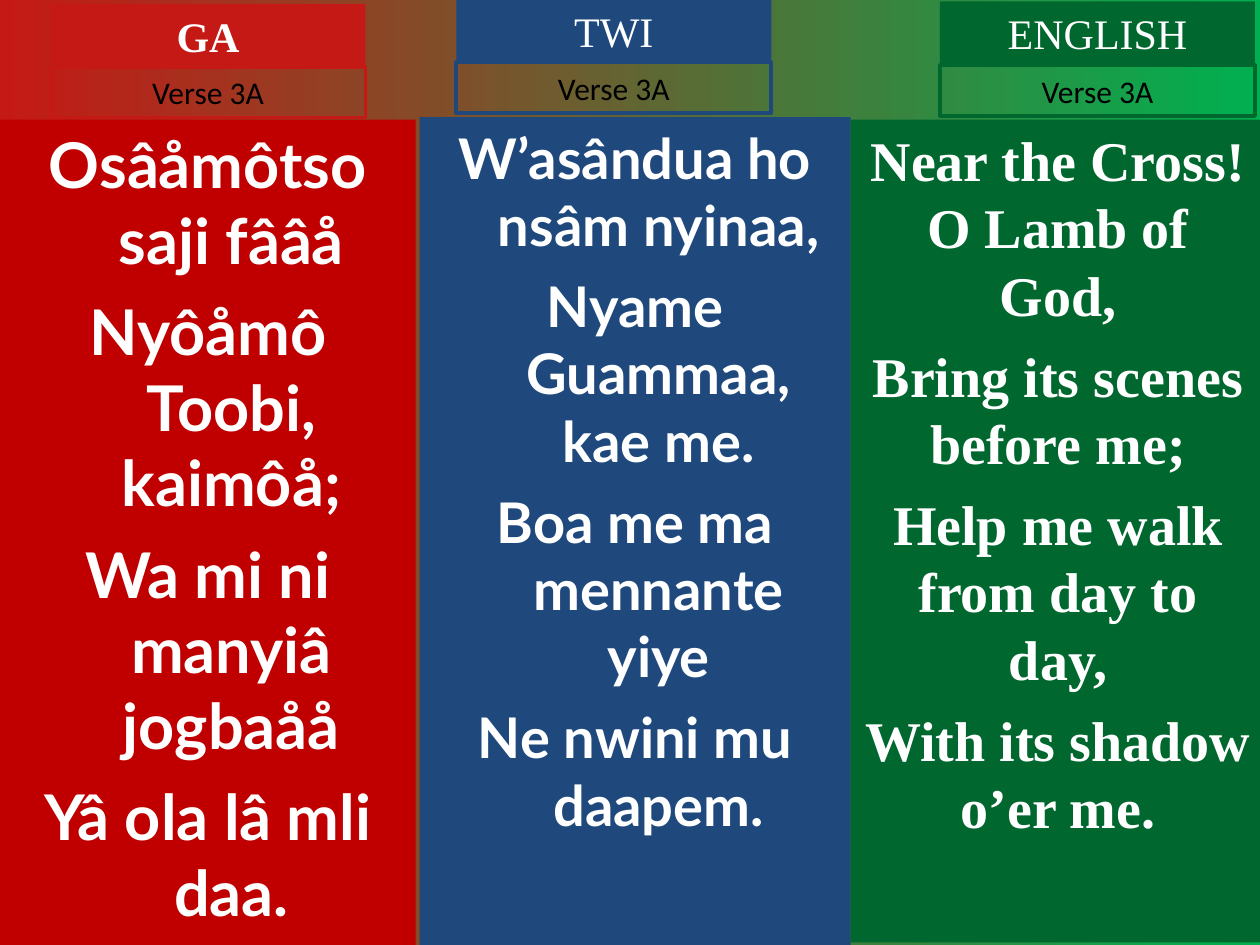
import pptx
import pptx.dml.color
import pptx.enum.shapes
import pptx.enum.text
import pptx.util

Cm = pptx.util.Cm
Pt = pptx.util.Pt

SLIDE_SIZE = (25.4, 19.05)
BACKGROUND = ("C51915", "00B050")
WHITE, BLACK = "FFFFFF", "000000"
HEADING_SIZE = (6.35, 1.27)
VERSE_SIZE = (6.35, 1.02)
HANGING_INDENT = 0.95
SERIF = "Times New Roman"

# Boxes are left, top, width, height in centimetres.
COLUMNS = [
    {
        "language": "GA", "verse": "Verse 3A",
        "lines": ["Osâåmôtso saji fââå", "Nyôåmô Toobi, kaimôå;",
                  "Wa mi ni manyiâ jogbaåå", "Yâ ola lâ mli daa."],
        "box": (0, 2.41, 8.38, 16.64), "heading_at": (1.02, 0.08), "verse_top": 1.35,
        "body_color": "C00000", "heading_color": "C51915", "heading_bold": True,
        "font": "Lato", "size": 36, "space": 9, "indent": HANGING_INDENT,
    },
    {
        "language": "TWI", "verse": "Verse 3A",
        "lines": ["W’asândua ho nsâm nyinaa,", "Nyame Guammaa, kae me.",
                  "Boa me ma mennante yiye", "Ne nwini mu daapem."],
        "box": (8.46, 2.36, 8.69, 16.69), "heading_at": (9.2, -0.02), "verse_top": 1.26,
        "body_color": "1F497D", "heading_color": "1F497D", "heading_bold": False,
        "font": "Lato", "size": 32, "space": 8, "indent": HANGING_INDENT,
    },
    {
        "language": "ENGLISH", "verse": "Verse 3A",
        "lines": ["Near the Cross! O Lamb of God,", "Bring its scenes before me;",
                  "Help me walk from day to day,", "With its shadow o’er me."],
        "box": (17.15, 2.41, 8.36, 16.59), "heading_at": (18.95, 0.03), "verse_top": 1.32,
        "body_color": "00682F", "heading_color": "00682F", "heading_bold": False,
        "font": SERIF, "size": 32, "space": 8, "indent": 0,
    },
]


def rgb(value):
    return pptx.dml.color.RGBColor.from_string(value)


def set_attributes(target, values):
    for name, value in values.items():
        setattr(target, name, value)


def add_panel(slide, box, lines, font, color, fill=None, line=None, space=0, indent=0):
    """Add a rectangle with one centred paragraph for each line of text."""
    shape = slide.shapes.add_shape(
        pptx.enum.shapes.MSO_SHAPE.RECTANGLE, *(Cm(length) for length in box))
    shape.shadow.inherit = False
    if fill:
        shape.fill.solid()
        shape.fill.fore_color.rgb = rgb(fill)
    else:
        shape.fill.background()
    if line:
        shape.line.color.rgb = rgb(line)
        shape.line.width = Pt(2.25)
    else:
        shape.line.fill.background()

    frame = shape.text_frame
    set_attributes(frame, {
        "word_wrap": True,
        "vertical_anchor": pptx.enum.text.MSO_ANCHOR.TOP,
    })
    for index, text in enumerate(lines):
        paragraph = frame.add_paragraph() if index else frame.paragraphs[0]
        paragraph.alignment = pptx.enum.text.PP_ALIGN.CENTER
        paragraph.space_before = Pt(space if index else 0)
        if indent:
            properties = paragraph._p.get_or_add_pPr()
            properties.set("marL", str(Cm(indent)))
            properties.set("indent", str(-Cm(indent)))
        run = paragraph.add_run()
        run.text = text
        set_attributes(run.font, font)
        run.font.color.rgb = rgb(color)


def add_column(slide, column):
    left, top = column["heading_at"]
    add_panel(slide, column["box"], column["lines"],
              {"name": column["font"], "size": Pt(column["size"]), "bold": True},
              WHITE, fill=column["body_color"],
              space=column["space"], indent=column["indent"])
    add_panel(slide, (left, top, *HEADING_SIZE), [column["language"]],
              {"name": SERIF, "size": Pt(24), "bold": column["heading_bold"]},
              WHITE, fill=column["heading_color"])
    add_panel(slide, (left, column["verse_top"], *VERSE_SIZE), [column["verse"]],
              {"name": "Calibri", "size": Pt(18)},
              BLACK, line=column["heading_color"])


def main():
    presentation = pptx.Presentation()
    width, height = SLIDE_SIZE
    set_attributes(presentation, {"slide_width": Cm(width), "slide_height": Cm(height)})
    slide = presentation.slides.add_slide(presentation.slide_layouts[6])

    background = slide.background.fill
    background.gradient()
    background.gradient_angle = 0
    for position, (stop, color) in enumerate(zip(background.gradient_stops, BACKGROUND)):
        stop.position = position
        stop.color.rgb = rgb(color)

    for column in COLUMNS:
        add_column(slide, column)
    presentation.save("out.pptx")


if __name__ == "__main__":
    main()
